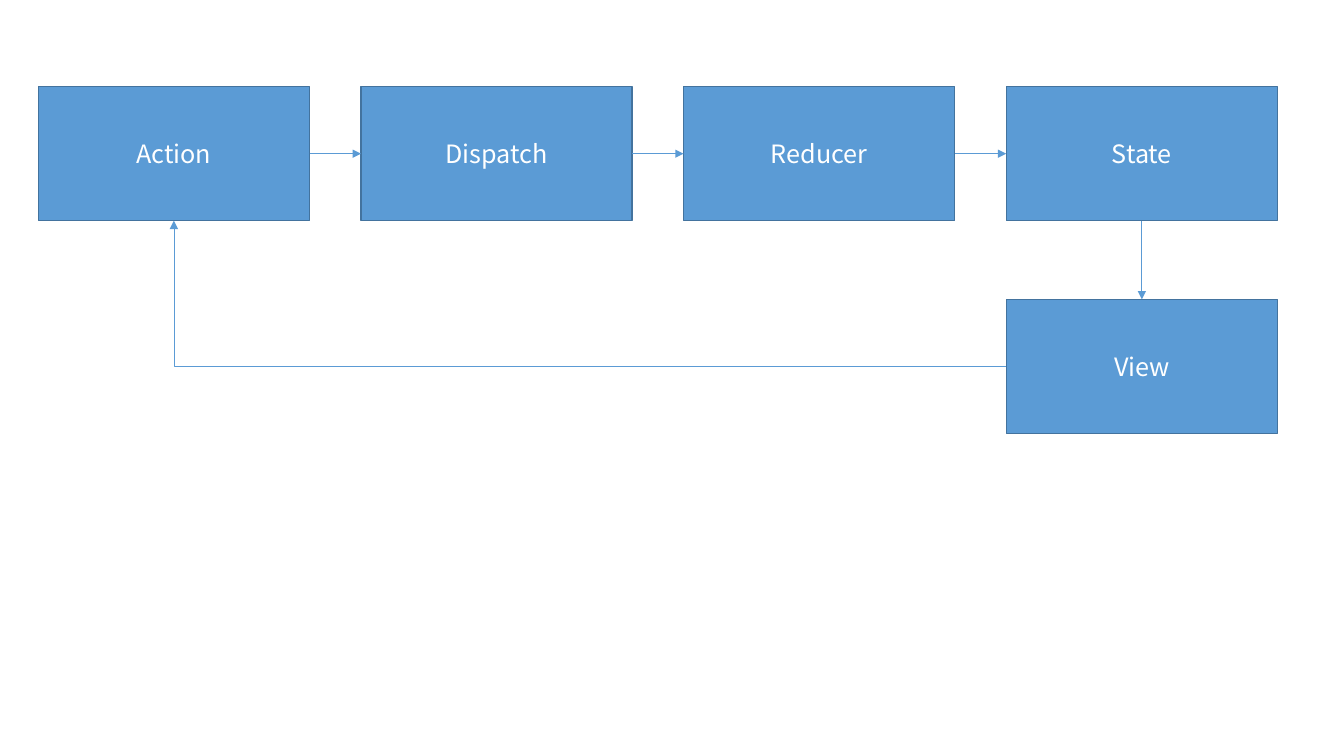
from pptx import Presentation
from pptx.dml.color import RGBColor
from pptx.enum.shapes import MSO_CONNECTOR, MSO_SHAPE
from pptx.enum.text import MSO_ANCHOR, PP_ALIGN
from pptx.oxml.ns import qn
from pptx.util import Inches, Pt
from lxml.etree import SubElement

HUES = {"fill": "5B9BD5", "edge": "43739E", "text": "FFFFFF"}
FONT = {"name": "Noto Sans CJK KR", "size": Pt(18)}
LEFT, TOP = 0.38, 0.86
WIDE, HIGH = 2.69, 1.33
STEP, DROP = 3.2, 2.11
UP, WEST, DOWN, EAST = range(4)

# Name, column, row
BOXES = [
    ("Action", 0, 0),
    ("Dispatch", 1, 0),
    ("Reducer", 2, 0),
    ("State", 3, 0),
    ("View", 3, 1),
]
# Start box, its side, end box, its side
LINKS = [
    ("Action", EAST, "Dispatch", WEST),
    ("Dispatch", EAST, "Reducer", WEST),
    ("Reducer", EAST, "State", WEST),
    ("State", DOWN, "View", UP),
    ("View", WEST, "Action", DOWN),
]


def tint(name):
    return RGBColor.from_string(HUES[name])


deck = Presentation()
deck.slide_width, deck.slide_height = Inches(13.33), Inches(7.5)
slide = deck.slides.add_slide(deck.slide_layouts[6])

nodes = {}
for name, col, row in BOXES:
    box = slide.shapes.add_shape(
        MSO_SHAPE.RECTANGLE,
        Inches(LEFT + col * STEP), Inches(TOP + row * DROP),
        Inches(WIDE), Inches(HIGH),
    )
    box.shadow.inherit = False
    box.fill.solid()
    box.fill.fore_color.rgb = tint("fill")
    box.line.color.rgb = tint("edge")
    box.line.width = Pt(1)
    frame = box.text_frame
    frame.text = name
    frame.vertical_anchor = MSO_ANCHOR.MIDDLE
    para = frame.paragraphs[0]
    para.alignment = PP_ALIGN.CENTER
    font = para.runs[0].font
    for key, value in FONT.items():
        setattr(font, key, value)
    font.color.rgb = tint("text")
    nodes[name] = box

for start, exit_side, end, entry in LINKS:
    bent = exit_side == WEST
    kind = MSO_CONNECTOR.ELBOW if bent else MSO_CONNECTOR.STRAIGHT
    link = slide.shapes.add_connector(kind, 0, 0, 0, 0)
    link.begin_connect(nodes[start], exit_side)
    link.end_connect(nodes[end], entry)
    link.line.color.rgb = tint("fill")
    link.line.width = Pt(0.5)
    props = link.element.spPr
    if bent:
        props.find(qn("a:prstGeom")).set("prst", "bentConnector2")
    SubElement(props.find(qn("a:ln")), qn("a:tailEnd"), type="triangle")
    SubElement(props, qn("a:effectLst"))

deck.save("out.pptx")
